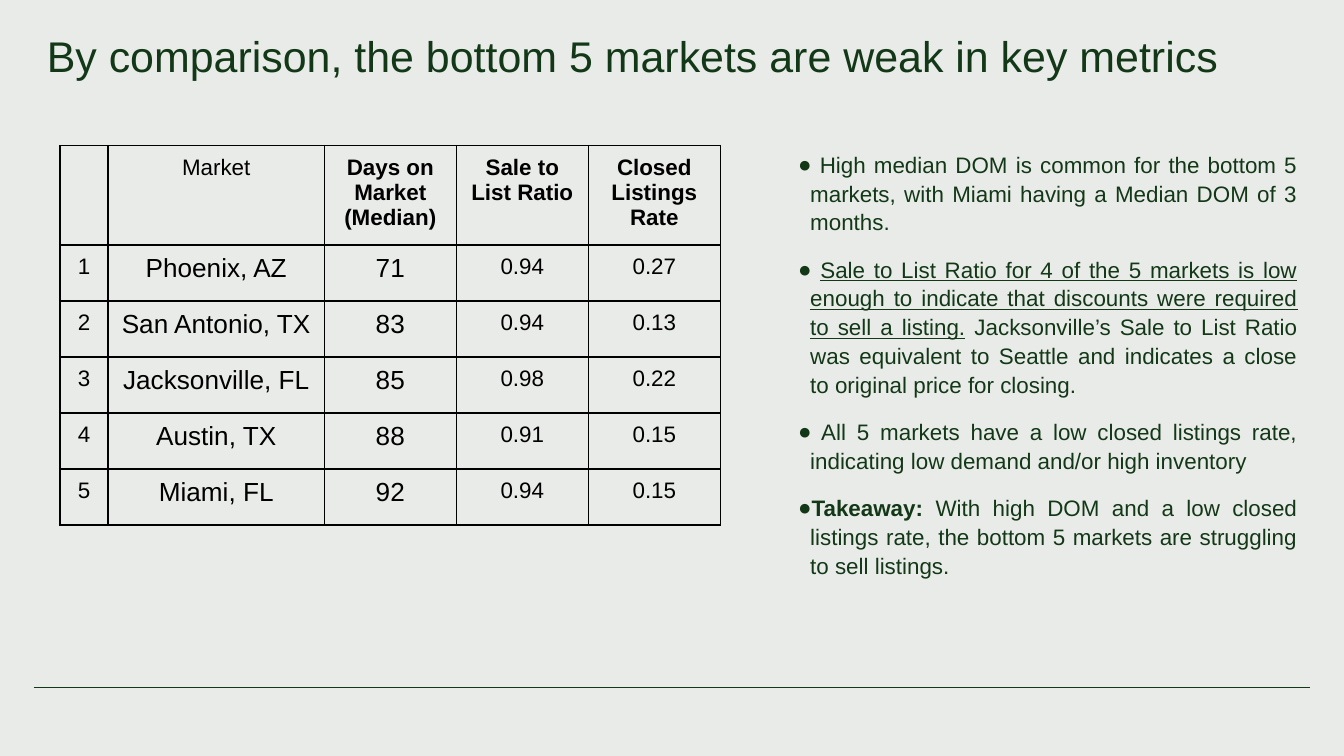
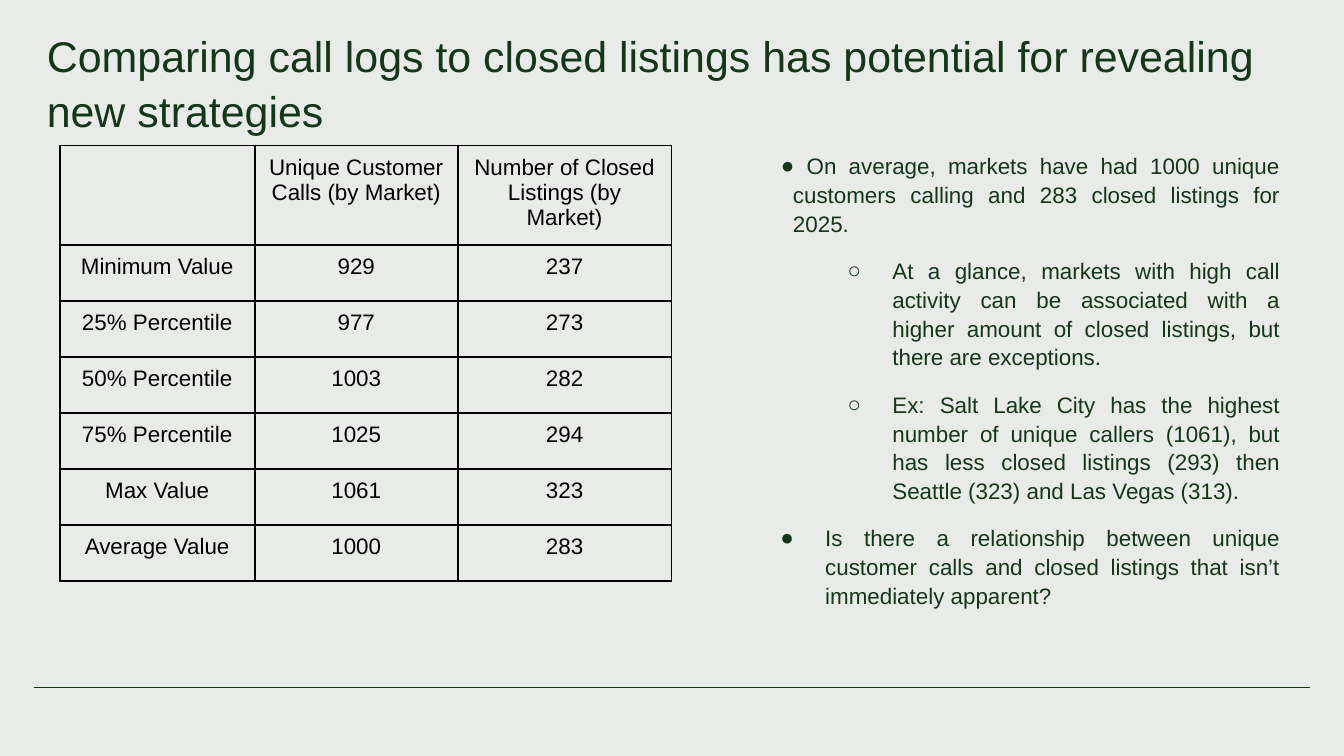
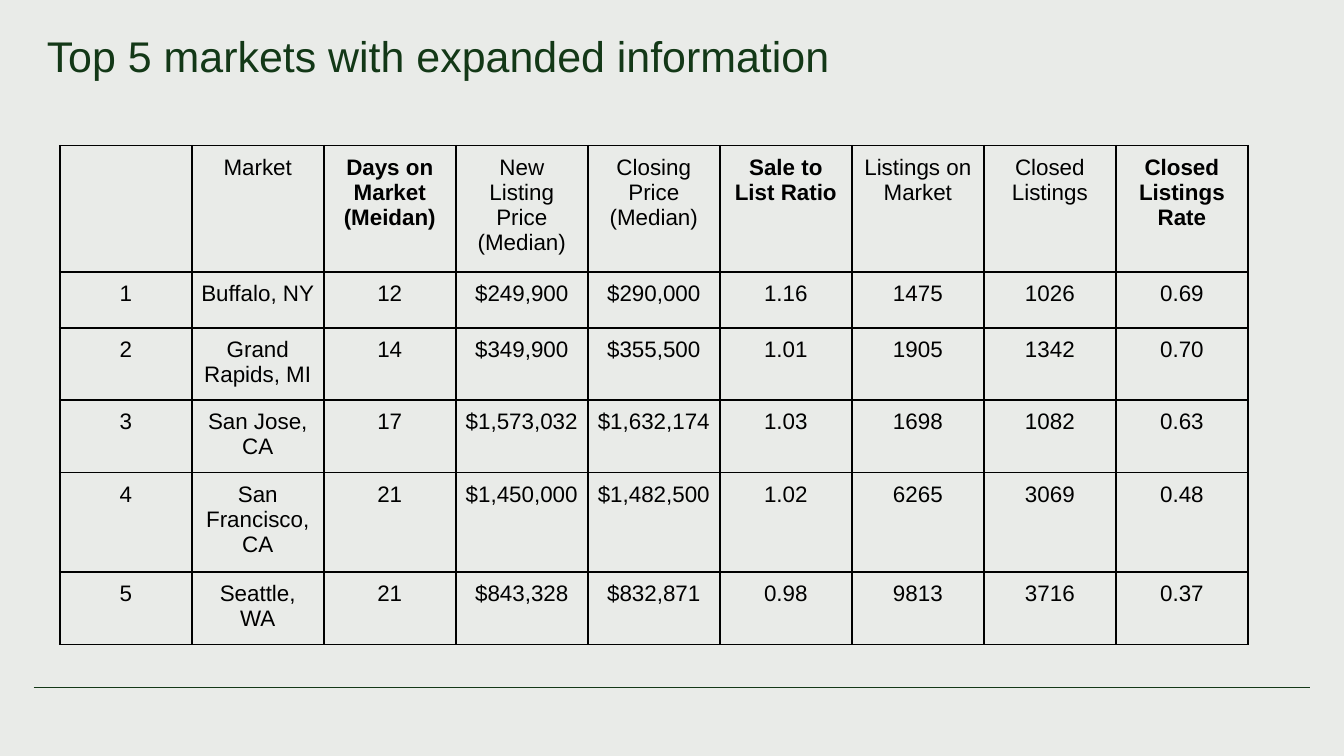
from lxml import etree
from pptx import Presentation
from pptx.dml.color import RGBColor
from pptx.enum.shapes import MSO_CONNECTOR
from pptx.enum.text import MSO_ANCHOR, PP_ALIGN
from pptx.oxml.ns import qn
from pptx.util import Pt

STRAIGHT = MSO_CONNECTOR.STRAIGHT
TOP = MSO_ANCHOR.TOP
LEFT, CENTER, JUSTIFY = PP_ALIGN.LEFT, PP_ALIGN.CENTER, PP_ALIGN.JUSTIFY

# Shared look
FONT = "Arial"
GREEN, PAPER, BLACK = "133817", "E9EBE8", "000000"
TITLE_SIZE, TEXT_SIZE, LARGE_SIZE = 23, 12, 14
LINE_SPACING = 1.07
INSET, CELL_INSET = 7.2, 5
TABLE_LEFT, TABLE_TOP, ROW_HEIGHT = 32, 78, 30
METRIC_WIDTH = 70.75
NOTES_WIDTH, NOTES_HEIGHT, NOTES_BOTTOM_INSET = 294, 276.5, 36

# Bullet styles: symbol, left margin, first-line indent, level
TIGHT = ("●", 18.75, -6.5, 0)
WIDE = ("●", 36, -24, 0)
SUB = ("○", 72, -24, 1)

KEY_METRICS = {"Sale to List Ratio", "Closed Listings Rate",
               "Days on Market (Median)", "Days on Market (Meidan)"}

# Content: each note is a bullet style and a list of (text, emphasis) runs
SLIDES = [
    {
        "title": "By comparison, the bottom 5 markets are weak in key metrics",
        "widths": [26, 115.75] + [METRIC_WIDTH] * 3,
        "large_columns": {1, 2},
        "rows": [
            ("", "Market", "Days on Market (Median)", "Sale to List Ratio", "Closed Listings Rate"),
            ("1", "Phoenix, AZ", "71", "0.94", "0.27"),
            ("2", "San Antonio, TX", "83", "0.94", "0.13"),
            ("3", "Jacksonville, FL", "85", "0.98", "0.22"),
            ("4", "Austin, TX", "88", "0.91", "0.15"),
            ("5", "Miami, FL", "92", "0.94", "0.15"),
        ],
        "notes_at": (408.25, 72.75),
        "notes": [
            (TIGHT, [(" High median DOM is common for the bottom 5 markets, with Miami having "
                      "a Median DOM of 3 months.", "")]),
            (TIGHT, [(" ", ""),
                     ("Sale to List Ratio for 4 of the 5 markets is low enough to indicate that "
                      "discounts were required to sell a listing.", "underline"),
                     (" Jacksonville’s Sale to List Ratio was equivalent to Seattle and "
                      "indicates a close to original price for closing.", "")]),
            (TIGHT, [(" All 5 markets have a low closed listings rate, indicating low demand "
                      "and/or high inventory", "")]),
            (TIGHT, [("Takeaway:", "bold"),
                     (" With high DOM and a low closed listings rate, the bottom 5 markets are "
                      "struggling to sell listings.", "")]),
        ],
    },
    {
        "title": "Comparing call logs to closed listings has potential for revealing new strategies",
        "widths": [104.5, 108.75, 114.5],
        "rows": [
            ("", "Unique Customer Calls (by Market)", "Number of Closed Listings (by Market)"),
            ("Minimum Value", "929", "237"),
            ("25% Percentile", "977", "273"),
            ("50% Percentile", "1003", "282"),
            ("75% Percentile", "1025", "294"),
            ("Max Value", "1061", "323"),
            ("Average Value", "1000", "283"),
        ],
        "notes_at": (399, 73.5),
        "notes": [
            (TIGHT, [(" On average, markets have had 1000 unique customers calling and 283 closed "
                      "listings for 2025.", "")]),
            (SUB, [("At a glance, markets with high call activity can be associated with a higher "
                    "amount of closed listings, but there are exceptions.", "")]),
            (SUB, [("Ex: Salt Lake City has the highest number of unique callers (1061), but has "
                    "less closed listings (293) then Seattle (323) and Las Vegas (313).", "")]),
            (WIDE, [("Is there a relationship between unique customer calls and closed listings "
                     "that isn’t immediately apparent?", "")]),
        ],
    },
    {
        "title": "Top 5 markets with expanded information",
        "widths": [METRIC_WIDTH] * 9,
        "rows": [
            ("", "Market", "Days on Market (Meidan)", "New Listing Price (Median)",
             "Closing Price (Median)", "Sale to List Ratio", "Listings on Market",
             "Closed Listings", "Closed Listings Rate"),
            ("1", "Buffalo, NY", "12", "$249,900", "$290,000", "1.16", "1475", "1026", "0.69"),
            ("2", "Grand Rapids, MI", "14", "$349,900", "$355,500", "1.01", "1905", "1342", "0.70"),
            ("3", "San Jose, CA", "17", "$1,573,032", "$1,632,174", "1.03", "1698", "1082", "0.63"),
            ("4", "San Francisco, CA", "21", "$1,450,000", "$1,482,500", "1.02", "6265", "3069", "0.48"),
            ("5", "Seattle, WA", "21", "$843,328", "$832,871", "0.98", "9813", "3716", "0.37"),
        ],
    },
]


def color(hex_value):
    return RGBColor.from_string(hex_value)


def style(paragraph, size, hex_value, alignment):
    paragraph.alignment = alignment
    paragraph.font.name = FONT
    paragraph.font.size = Pt(size)
    paragraph.font.color.rgb = color(hex_value)


def add_color(parent, hex_value):
    etree.SubElement(parent, qn("a:srgbClr"), val=hex_value)


def add_text_frame(slide, left, top, width, height, bottom_inset=INSET):
    box = slide.shapes.add_textbox(Pt(left), Pt(top), Pt(width), Pt(height))
    frame = box.text_frame
    frame.word_wrap = True
    frame.vertical_anchor = TOP
    frame.margin_left = frame.margin_top = frame.margin_right = Pt(INSET)
    frame.margin_bottom = Pt(bottom_inset)
    return frame


def add_title(slide, text):
    paragraph = add_text_frame(slide, 18, 6.5, 684, 38).paragraphs[0]
    paragraph.text = text
    paragraph.line_spacing = LINE_SPACING
    style(paragraph, TITLE_SIZE, GREEN, LEFT)


def add_footer_line(slide):
    line = slide.shapes.add_connector(STRAIGHT, Pt(18), Pt(368.5), Pt(702), Pt(368.5))
    line.line.color.rgb = color(GREEN)
    line.line.width = Pt(0.75)
    etree.SubElement(line._element.spPr, qn("a:effectLst"))


def add_bullet(paragraph, bullet):
    symbol, margin, indent, level = bullet
    paragraph.level = level
    properties = paragraph._p.get_or_add_pPr()
    properties.set("marL", str(Pt(margin)))
    properties.set("indent", str(Pt(indent)))
    add_color(etree.SubElement(properties, qn("a:buClr")), GREEN)
    etree.SubElement(properties, qn("a:buFont"), typeface=FONT)
    etree.SubElement(properties, qn("a:buChar"), char=symbol)


def add_notes(slide, position, notes):
    frame = add_text_frame(slide, *position, NOTES_WIDTH, NOTES_HEIGHT, NOTES_BOTTOM_INSET)
    for index, (bullet, runs) in enumerate(notes):
        paragraph = frame.add_paragraph() if index else frame.paragraphs[0]
        add_bullet(paragraph, bullet)
        paragraph.line_spacing = LINE_SPACING
        if index:
            paragraph.space_before = Pt(10)
        style(paragraph, TEXT_SIZE, GREEN, JUSTIFY)
        for text, emphasis in runs:
            run = paragraph.add_run()
            run.text = text
            if emphasis == "bold":
                run.font.bold = True
            elif emphasis == "underline":
                run.font.underline = True


def add_borders(cell):
    properties = cell._tc.get_or_add_tcPr()
    for side in ("lnL", "lnR", "lnT", "lnB"):
        border = etree.SubElement(properties, qn(f"a:{side}"), w=str(Pt(1)))
        add_color(etree.SubElement(border, qn("a:solidFill")), BLACK)


def fill_cell(cell, text, size):
    cell.margin_left = cell.margin_right = Pt(CELL_INSET)
    cell.margin_top = cell.margin_bottom = Pt(CELL_INSET)
    cell.vertical_anchor = TOP
    add_borders(cell)
    cell.fill.background()
    paragraph = cell.text_frame.paragraphs[0]
    paragraph.text = text
    style(paragraph, size, BLACK, CENTER)
    paragraph.font.bold = text in KEY_METRICS


def add_market_table(slide, widths, rows, large_columns):
    frame = slide.shapes.add_table(len(rows), len(widths), Pt(TABLE_LEFT), Pt(TABLE_TOP),
                                   Pt(sum(widths)), Pt(ROW_HEIGHT * len(rows)))
    table = frame.table
    table.first_row = table.horz_banding = False
    for column, width in zip(table.columns, widths):
        column.width = Pt(width)
    for row_index, row in enumerate(rows):
        table.rows[row_index].height = Pt(ROW_HEIGHT)
        for column_index, text in enumerate(row):
            large = row_index > 0 and column_index in large_columns
            fill_cell(table.cell(row_index, column_index), text,
                      LARGE_SIZE if large else TEXT_SIZE)


def main():
    presentation = Presentation()
    presentation.slide_width, presentation.slide_height = Pt(720), Pt(405)
    background = presentation.slide_master.background.fill
    background.solid()
    background.fore_color.rgb = color(PAPER)

    for content in SLIDES:
        slide = presentation.slides.add_slide(presentation.slide_layouts[6])
        add_footer_line(slide)
        add_title(slide, content["title"])
        add_market_table(slide, content["widths"], content["rows"],
                         content.get("large_columns", set()))
        if "notes" in content:
            add_notes(slide, content["notes_at"], content["notes"])

    presentation.save("out.pptx")


if __name__ == "__main__":
    main()
